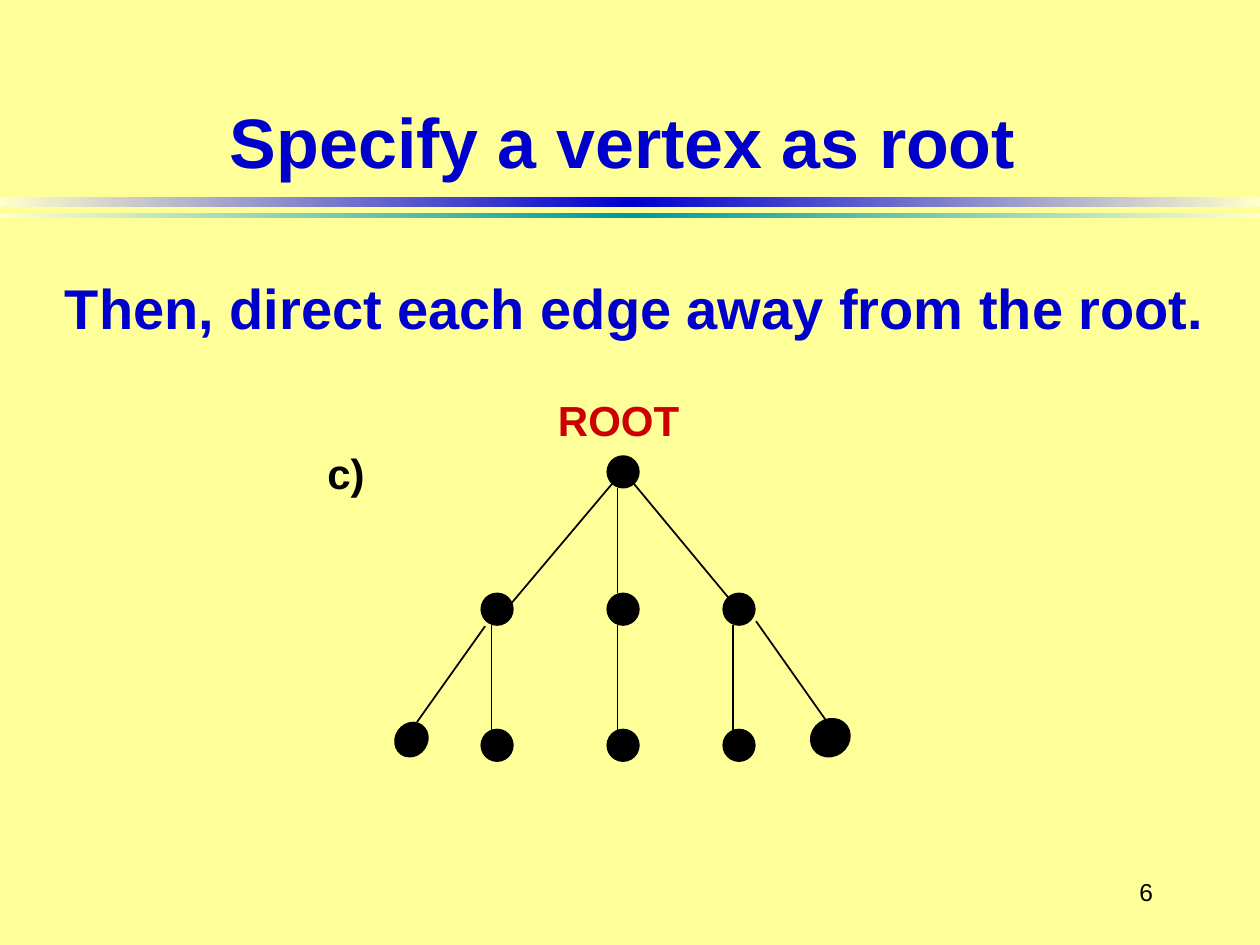
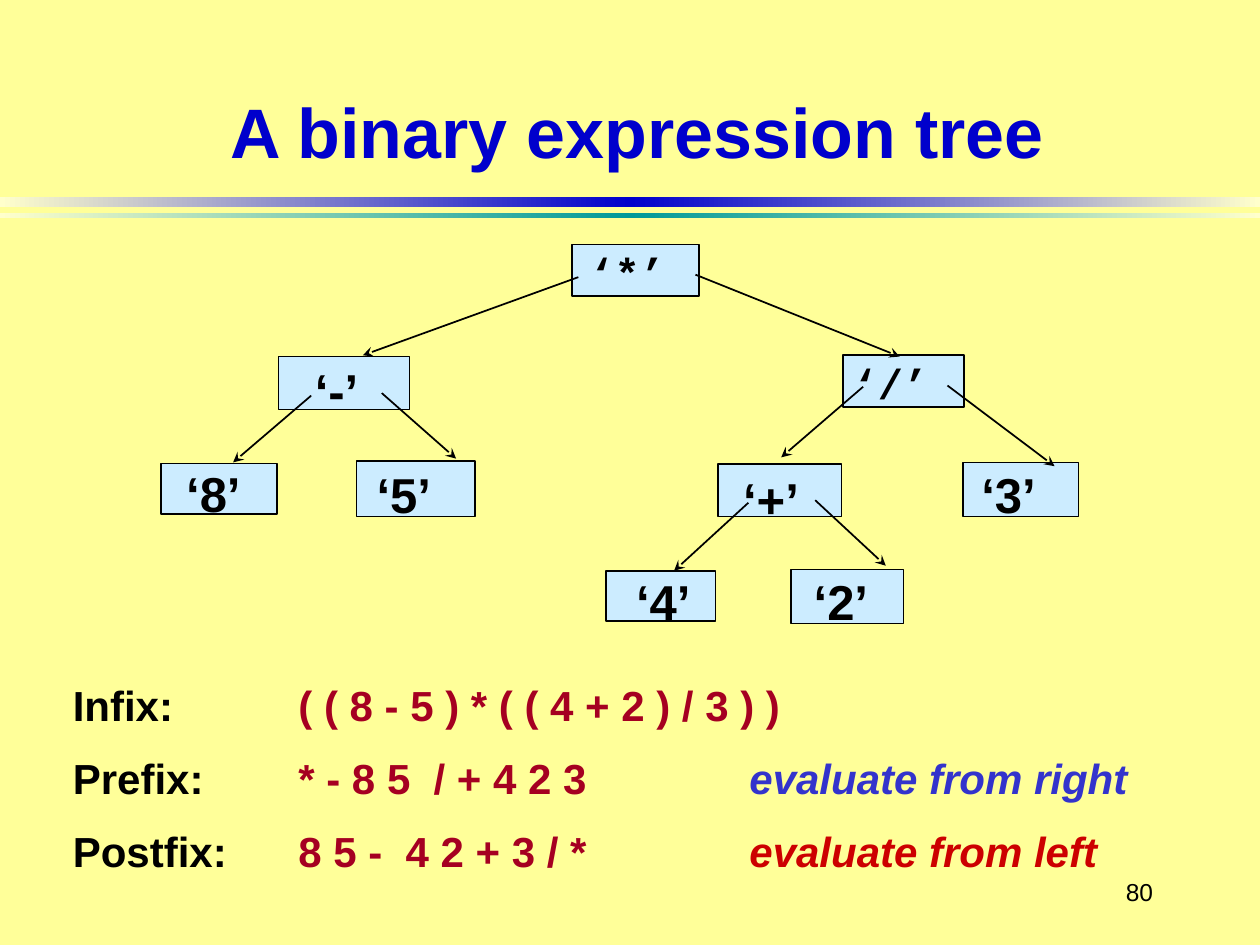
from copy import deepcopy

from lxml import etree
from pptx import Presentation
from pptx.dml.color import RGBColor
from pptx.enum import shapes, text
from pptx.oxml.ns import qn
from pptx.util import Inches, Pt

COLORS = {
    "page": "FFFF99",
    "band_edge": "FFFFCC",
    "title": "0000CC",
    "band_teal": "009999",
    "ink": "000000",
    "red": "CC0000",
    "crimson": "A50021",
    "violet": "3333CC",
    "node": "CCECFF",
}
LEFT, CENTER, RIGHT = text.PP_ALIGN.LEFT, text.PP_ALIGN.CENTER, text.PP_ALIGN.RIGHT
TOP, MIDDLE, BOTTOM = text.MSO_ANCHOR.TOP, text.MSO_ANCHOR.MIDDLE, text.MSO_ANCHOR.BOTTOM


def rgb(name):
    return RGBColor.from_string(COLORS[name])


def add_run(paragraph, words, size, color="ink", bold=True, italic=False, font="Arial"):
    run = paragraph.add_run()
    run.text = words
    run.font.name = font
    run.font.size = Pt(size)
    run.font.bold = bold
    run.font.italic = italic
    run.font.color.rgb = rgb(color)


def add_frame(slide, box, anchor=TOP):
    frame = slide.shapes.add_textbox(*map(Inches, box)).text_frame
    frame.word_wrap = True
    frame.vertical_anchor = anchor
    return frame


def add_label(slide, box, words, size, align=LEFT, anchor=TOP, **style):
    paragraph = add_frame(slide, box, anchor).paragraphs[0]
    paragraph.alignment = align
    add_run(paragraph, words, size, **style)


def add_solid(slide, preset, box, fill):
    solid = slide.shapes.add_shape(preset, *map(Inches, box))
    solid.shadow.inherit = False
    solid.fill.solid()
    solid.fill.fore_color.rgb = rgb(fill)
    solid.line.color.rgb = rgb("ink")
    solid.line.width = Pt(1)
    return solid


def add_edge(slide, origin, ends, arrow=False):
    """Draw a line between two points given relative to origin."""
    left, top = origin
    x1, y1, x2, y2 = ends
    edge = slide.shapes.add_connector(
        shapes.MSO_CONNECTOR.STRAIGHT,
        Inches(left + x1), Inches(top + y1), Inches(left + x2), Inches(top + y2))
    edge.line.color.rgb = rgb("ink")
    edge.line.width = Pt(1)
    if arrow:
        etree.SubElement(edge.line._get_or_add_ln(), qn("a:tailEnd"), type="stealth")
    etree.SubElement(edge._element.spPr, qn("a:effectLst"))


def add_band(slide, box, color):
    """Draw a stripe that fades from its middle colour to both ends."""
    band = slide.shapes.add_shape(shapes.MSO_SHAPE.RECTANGLE, *map(Inches, box))
    band.shadow.inherit = False
    band.line.fill.background()
    band.fill.gradient()
    band.fill.gradient_angle = 0
    stops = band._element.spPr.find(".//" + qn("a:gsLst"))
    stops.append(deepcopy(stops[-1]))
    for stop, position, name in zip(band.fill.gradient_stops, (0, 0.5, 1),
                                    ("band_edge", color, "band_edge")):
        stop.position = position
        stop.color.rgb = rgb(name)


def add_page(deck, title, title_box, number):
    slide = deck.slides.add_slide(deck.slide_layouts[6])
    slide.background.fill.solid()
    slide.background.fill.fore_color.rgb = rgb("page")
    add_band(slide, (0, 1.56, 10, 0.08), "title")
    add_band(slide, (0, 1.69, 10, 0.04), "band_teal")
    add_label(slide, title_box, title, 40, CENTER, BOTTOM, color="title")
    add_label(slide, (8.58, 6.83, 0.67, 0.5), number, 14, RIGHT, MIDDLE, bold=False)
    return slide


def add_rooted_tree(slide, box):
    left, top = origin = box[:2]
    dot, stem = 0.25, 0.08
    columns = (1.32, 2.32, 3.24)
    root_row, middle_row, leaf_row = 0.62, 1.71, 2.79

    def vertex(x, y, width=dot, height=dot, rotation=0):
        oval = add_solid(slide, shapes.MSO_SHAPE.OVAL,
                         (left + x, top + y, width, height), "ink")
        oval.rotation = rotation

    add_label(slide, (left, top + 0.5, 0.6, 0.5), "c)", 24)
    add_label(slide, (left + 1.83, top + 0.08, 1.3, 0.5), "ROOT", 24, color="red")

    trunk = columns[1] + stem
    vertex(columns[1], root_row)
    add_edge(slide, origin, (trunk, root_row + dot, trunk, middle_row))
    for x in columns:
        vertex(x, middle_row)
        vertex(x, leaf_row)
        add_edge(slide, origin, (x + stem, middle_row + dot, x + stem, leaf_row))

    vertex(0.64, 2.73, 0.25, 0.28, 35.2)
    vertex(3.93, 2.71, 0.32, 0.29, 324.8)
    for slanted in ((2.4, 0.79, 1.49, 1.87), (2.49, 0.79, 3.32, 1.79),
                    (1.35, 1.97, 0.81, 2.73), (3.5, 1.93, 4.05, 2.71)):
        add_edge(slide, origin, slanted)


def add_expression_tree(slide, box):
    left, top = origin = box[:2]
    operator = {"size": 24, "font": "Courier New"}
    plain = {"size": 28}
    nodes = (  # symbol, box, label offset, style
        ("*", (3.34, 0.04, 1.01, 0.41), (0.04, -0.03), operator),
        ("-", (1.01, 0.93, 1.04, 0.42), (0.19, -0.02), plain),
        ("8", (0.08, 1.78, 0.92, 0.4), (0.1, -0.05), plain),
        ("5", (1.63, 1.76, 0.94, 0.44), (0.06, -0.02), plain),
        ("/", (5.49, 0.92, 0.96, 0.41), (-0.02, -0.03), operator),
        ("+", (4.5, 1.78, 0.98, 0.42), (0.1, 0), plain),
        ("3", (6.44, 1.77, 0.92, 0.43), (0.05, -0.03), plain),
        ("4", (3.61, 2.63, 0.87, 0.4), (0.14, -0.04), plain),
        ("2", (5.08, 2.62, 0.89, 0.43), (0.08, -0.03), plain),
    )
    for symbol, (x, y, width, height), (dx, dy), style in nodes:
        x, y = left + x, top + y
        add_solid(slide, shapes.MSO_SHAPE.RECTANGLE, (x, y, width, height), "node")
        add_label(slide, (x + dx, y + dy, 0.9, 0.57), f"‘{symbol}’", **style)

    parent_to_child = (
        (3.39, 0.3, 1.68, 0.92), (4.32, 0.28, 5.94, 0.93),
        (1.27, 1.24, 0.65, 1.77), (1.83, 1.22, 2.42, 1.74),
        (5.65, 1.17, 5, 1.73), (6.32, 1.16, 7.17, 1.8),
        (4.74, 2.09, 4.15, 2.63), (5.27, 2.07, 5.83, 2.59),
    )
    for ends in parent_to_child:
        add_edge(slide, origin, ends, arrow=True)


def add_notations(slide, box):
    frame = add_frame(slide, box)
    notations = (
        ("Infix:", "( ( 8 - 5 ) * ( ( 4 + 2 ) / 3 ) )", None, None),
        ("Prefix:", "* - 8 5  / + 4 2 3", "evaluate from right", "violet"),
        ("Postfix:", "8 5 -  4 2 + 3 / *", "evaluate from left", "red"),
    )
    for row, (notation, expression, direction, color) in enumerate(notations):
        paragraph = frame.add_paragraph() if row else frame.paragraphs[0]
        if row:
            paragraph.space_before = Pt(13)
        stops = etree.SubElement(paragraph._p.get_or_add_pPr(), qn("a:tabLst"))
        for position in (1.79, 5.37):
            etree.SubElement(stops, qn("a:tab"), pos=str(Inches(position)), algn="l")
        add_run(paragraph, notation, 24)
        add_run(paragraph, "\t" + expression, 24, "crimson")
        if direction:
            add_run(paragraph, "\t" + direction, 24, color, italic=True)


def add_root_slide(deck):
    slide = add_page(deck, "Specify a vertex as root", (0.65, 0.25, 8.58, 1.25), "6")
    add_label(slide, (0.25, 1.83, 9.58, 0.92),
              "Then, direct each edge away from the root.", 32, CENTER, BOTTOM,
              color="title")
    add_rooted_tree(slide, (2.5, 3, 4.3, 3.1))


def add_expression_slide(deck):
    slide = add_page(deck, "A binary expression tree", (0.4, 0.17, 9.31, 1.25), "80")
    add_notations(slide, (0.48, 5.34, 8.8, 1.64))
    add_expression_tree(slide, (1.2, 1.9, 7.4, 3.1))


def main():
    deck = Presentation()
    deck.slide_width, deck.slide_height = Inches(10), Inches(7.5)
    add_root_slide(deck)
    add_expression_slide(deck)
    deck.save("out.pptx")


if __name__ == "__main__":
    main()
